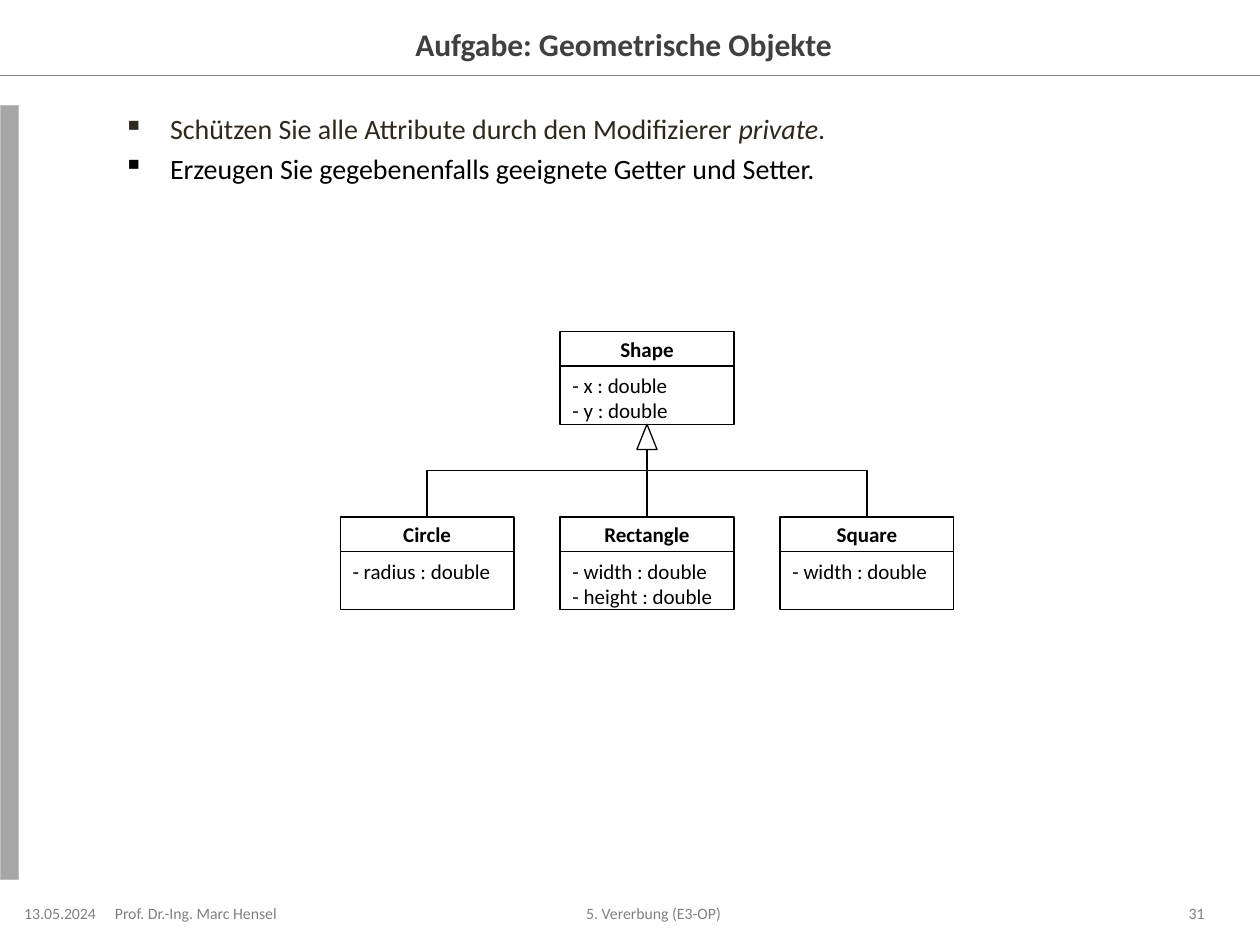
from pptx import Presentation, util as u
from pptx.dml.color import RGBColor
from pptx.enum import shapes, text
from pptx.oxml.ns import qn
from lxml import etree

HUES = {"ink": "000000", "paper": "FFFFFF", "title": "404040", "gray": "808080",
        "bar": "A6A6A6", "edge": "BFBFBF", "brown": "2F291D"}
WIDE, HIGH = u.Inches(10), u.Inches(7.5)
LEFT, MID, RIGHT = text.PP_ALIGN.LEFT, text.PP_ALIGN.CENTER, text.PP_ALIGN.RIGHT
KIND = shapes.MSO_SHAPE
LINK = shapes.MSO_CONNECTOR


def hue(name):
    """Return a named colour."""
    return RGBColor.from_string(HUES[name])


def span(box):
    """Turn percent shares of the slide into lengths."""
    x, y, w, h = box
    return [int(v * s / 100) for v, s in ((x, WIDE), (y, HIGH), (w, WIDE), (h, HIGH))]


def frame(shape, pads=(0.1, 0.1), top=False):
    """Prepare the text frame of a shape."""
    body = shape.text_frame
    body.word_wrap = True
    body.auto_size = text.MSO_AUTO_SIZE.NONE
    body.vertical_anchor = text.MSO_ANCHOR.TOP if top else text.MSO_ANCHOR.MIDDLE
    body.margin_left, body.margin_right = map(u.Inches, pads)
    body.margin_top = body.margin_bottom = u.Inches(0.05)
    return body


def line(body, index, align=LEFT):
    """Return the paragraph at an index, adding it if needed."""
    para = body.add_paragraph() if index else body.paragraphs[0]
    para.alignment = align
    return para


def write(para, words, size, color="ink", bold=False, slant=False):
    """Add one run."""
    run = para.add_run()
    run.text = words
    font = run.font
    font.name, font.size = "Calibri", u.Pt(size)
    font.bold, font.italic = bold, slant
    font.color.rgb = hue(color)


def block(host, kind, box, fill="paper", edge="ink"):
    """Add a filled shape with a thin outline."""
    shape = host.add_shape(kind, *span(box))
    shape.shadow.inherit = False
    shape.fill.solid()
    shape.fill.fore_color.rgb = hue(fill)
    shape.line.color.rgb = hue(edge)
    shape.line.width = u.Pt(0.75)
    return shape


def wire(host, kind, start, end, color="ink"):
    """Add a thin connector between two points."""
    x1, y1, x2, y2 = span((*start, *end))
    link = host.add_connector(kind, x1, y1, x2, y2)
    link.line.color.rgb = hue(color)
    link.line.width = u.Pt(0.75)
    etree.SubElement(link._element.spPr, qn("a:effectLst"))
    return link


def elbow(host, start, end):
    """Add a bent connector that leaves and arrives vertically."""
    (x1, y1), (x2, y2) = start, end
    ratio = WIDE / HIGH
    mid_x, mid_y = (x1 + x2) / 2, (y1 + y2) / 2
    side = 1 if x2 > x1 else -1
    dx = side * (y1 - y2) / ratio / 2
    dy = abs(x2 - x1) * ratio / 2
    link = wire(host, LINK.ELBOW, (mid_x + dx, mid_y + dy), (mid_x - dx, mid_y - dy))
    link._element.spPr.find(qn("a:xfrm")).set("rot", str((90 if side > 0 else 270) * 60000))


def head(slide, box):
    """Place the title and the rule below it."""
    title = slide.shapes.title
    title.left, title.top, title.width, title.height = span(box)
    para = line(frame(title, (0, 0.1)), 0, MID)
    write(para, "Aufgabe: Geometrische Objekte", 18, "title", bold=True)
    wire(slide.shapes, LINK.STRAIGHT, (0, 8), (100, 8), "gray")


def tasks(slide, box):
    """Place the bulleted tasks."""
    items = [[("Schützen Sie alle Attribute durch den Modifizierer ", "brown", False),
              ("private", "brown", True), (".", "brown", False)],
             [("Erzeugen Sie gegebenenfalls geeignete Getter und Setter.", "ink", False)]]
    body = frame(slide.shapes.add_textbox(*span(box)), (0, 0.1), top=True)
    for i, item in enumerate(items):
        para = line(body, i)
        props = para._p.get_or_add_pPr()
        props.set("marL", str(u.Inches(0.44)))
        props.set("indent", str(u.Inches(-0.37)))
        etree.SubElement(props, qn("a:buChar")).set("char", "▪")
        if i:
            para.space_before = u.Pt(3.2)
        for words, color, slant in item:
            write(para, words, 16, color, slant=slant)


def entity(slide, box, name, fields):
    """Place one class with its name and attributes."""
    x, y, w, h = box
    cut = 0.375 * h
    group = slide.shapes.add_group_shape().shapes
    top = block(group, KIND.RECTANGLE, (x, y, w, cut))
    write(line(frame(top), 0, MID), name, 12, bold=True)
    low = frame(block(group, KIND.RECTANGLE, (x, y + cut, w, h - cut)), top=True)
    for i, field in enumerate(fields):
        write(line(low, i), f"- {field} : double", 12)


def tree(slide, box):
    """Place the parent class above its three children."""
    x, y, w, h = box
    row, wide = h / 3, 13.8
    step = (w - wide) / 2
    kids = [("Circle", ["radius"]), ("Rectangle", ["width", "height"]), ("Square", ["width"])]
    tip = (x + w / 2, y + row)
    entity(slide, (x + step, y, wide, row), "Shape", ["x", "y"])
    for i, (name, fields) in enumerate(kids):
        left, top = x + i * step, y + 2 * row
        elbow(slide.shapes, (left + wide / 2, top), tip)
        entity(slide, (left, top, wide, row), name, fields)
    block(slide.shapes, KIND.ISOSCELES_TRIANGLE, (tip[0] - 0.8, tip[1], 1.6, 2.67))


def foot(slide, box):
    """Place the footer notes."""
    x, y, w, h = box
    notes = [("13.05.2024", 0, 0.08, MID), ("Prof. Dr.-Ing. Marc Hensel", 0.081, 0.16, LEFT),
             ("5. Vererbung (E3-OP)", 0.248, 0.585, MID), ("31", 0.932, 0.068, RIGHT)]
    for words, at, share, align in notes:
        note = slide.shapes.add_textbox(*span((x + at * w, y, share * w, h)))
        pads = (0.1, 0) if align == RIGHT else (0, 0.1)
        write(line(frame(note, pads), 0, align), words, 9, "gray")


def main():
    """Build the slide."""
    deck = Presentation()
    deck.slide_width, deck.slide_height = WIDE, HIGH
    slide = deck.slides.add_slide(deck.slide_layouts[5])
    head(slide, (12.4, 2, 75.2, 5.2))
    block(slide.shapes, KIND.RECTANGLE, (0, 11.2, 1.5, 81.87), "bar", "edge")
    tasks(slide, (9.1, 11.2, 86.6, 81.87))
    tree(slide, (27, 35.07, 48.7, 29.47))
    foot(slide, (1.5, 95.67, 94.1, 2))
    deck.save("out.pptx")


if __name__ == "__main__":
    main()
